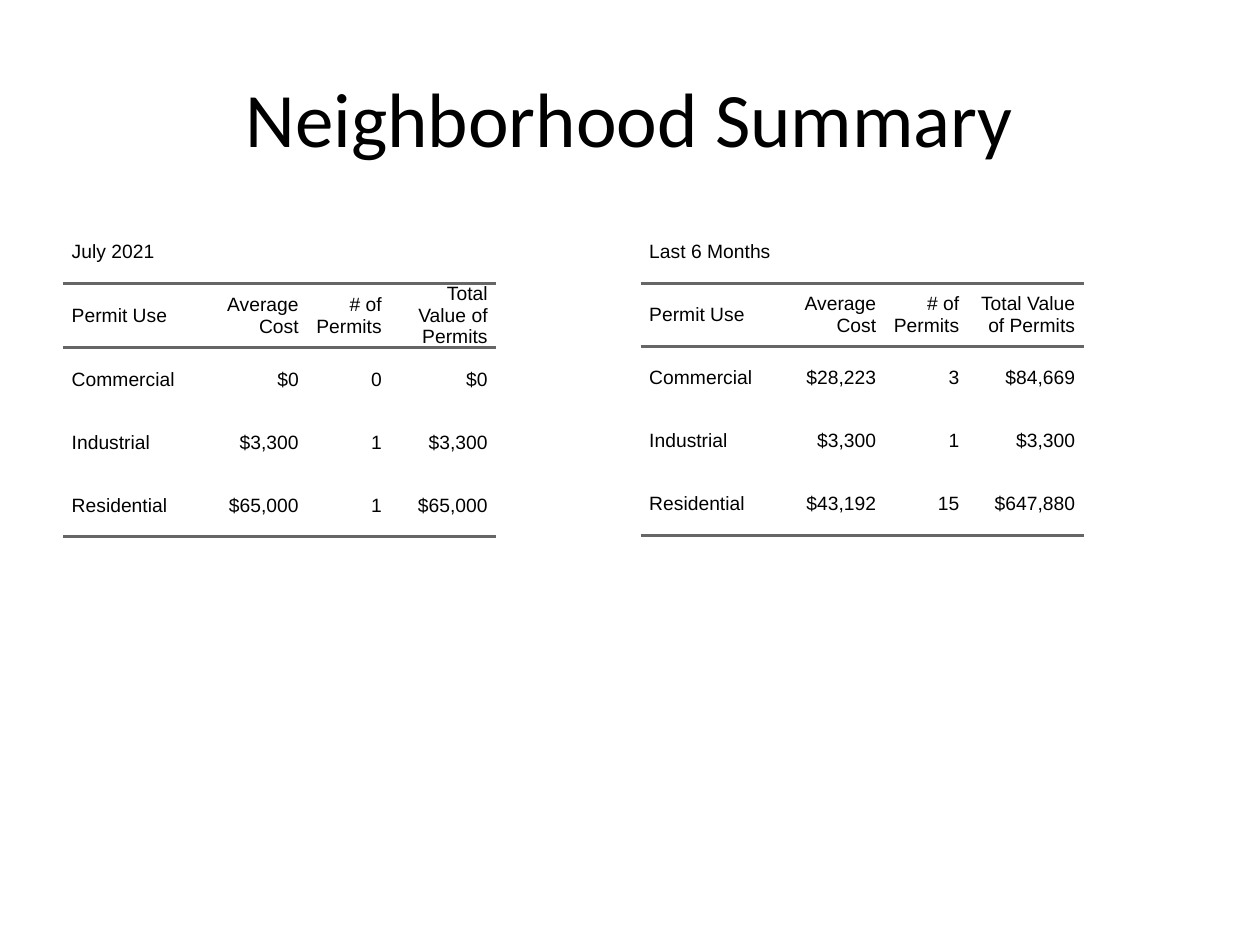
from dataclasses import dataclass

from lxml import etree
from pptx import Presentation
from pptx import util as u
from pptx.dml.color import RGBColor
from pptx.enum import text
from pptx.oxml import ns


@dataclass(frozen=True)
class Theme:
    ink: str = "000000"
    rule: str = "666666"
    title_font: str = "Calibri"
    table_font: str = "Arial"
    title_size: float = 44
    table_size: float = 11
    rule_width: float = 2
    cell_indent: float = 5
    plain_table: str = "{2D5ABB26-0587-4C30-8999-92F81FD0307C}"


class SlideBuilder:
    def __init__(self, slide, theme):
        self.slide = slide
        self.theme = theme

    def style(self, paragraph, font_name, size, align):
        paragraph.alignment = align
        for run in paragraph.runs:
            run.font.name = font_name
            run.font.size = u.Pt(size)
            run.font.color.rgb = RGBColor.from_string(self.theme.ink)

    def title(self, wording, left, top, width, height):
        box = self.slide.shapes.add_textbox(*map(u.Pt, (left, top, width, height)))
        frame = box.text_frame
        frame.word_wrap = True
        frame.vertical_anchor = text.MSO_ANCHOR.MIDDLE
        frame.text = wording
        self.style(frame.paragraphs[0], self.theme.title_font,
                   self.theme.title_size, text.PP_ALIGN.CENTER)

    def rule(self, cell, tag):
        """Draw one cell border; call before the cell fill is set."""
        line = etree.SubElement(cell._tc.get_or_add_tcPr(), ns.qn(tag),
                                w=str(u.Pt(self.theme.rule_width)))
        fill = etree.SubElement(line, ns.qn("a:solidFill"))
        etree.SubElement(fill, ns.qn("a:srgbClr"), val=self.theme.rule)

    def cell(self, cell, wording, align, borders):
        cell.margin_left = cell.margin_right = 0
        cell.margin_top = cell.margin_bottom = 0
        cell.vertical_anchor = text.MSO_ANCHOR.MIDDLE
        for tag in borders:
            self.rule(cell, tag)
        cell.fill.background()
        cell.text_frame.text = wording
        paragraph = cell.text_frame.paragraphs[0]
        properties = paragraph._p.get_or_add_pPr()
        for side in ("marL", "marR"):
            properties.set(side, str(u.Pt(self.theme.cell_indent)))
        properties.set("indent", "0")
        self.style(paragraph, self.theme.table_font, self.theme.table_size, align)

    def permit_table(self, period, rows, column_widths, left, top, width, height, row_height):
        shape = self.slide.shapes.add_table(
            len(rows) + 1, len(column_widths), *map(u.Pt, (left, top, width, height)))
        table = shape.table
        table.first_row = table.horz_banding = False
        table._tbl.tblPr.find(ns.qn("a:tableStyleId")).text = self.theme.plain_table
        for column, column_width in zip(table.columns, column_widths):
            column.width = u.Pt(column_width)
        for row in table.rows:
            row.height = u.Pt(row_height)
        shape.width, shape.height = u.Pt(width), u.Pt(height)

        # Period heading across all columns
        table.cell(0, 0).merge(table.cell(0, len(column_widths) - 1))
        self.cell(table.cell(0, 0), period, text.PP_ALIGN.LEFT, ())

        # Column headings and figures
        borders = {1: ("a:lnT", "a:lnB"), len(rows): ("a:lnB",)}
        for r, values in enumerate(rows, start=1):
            for c, value in enumerate(values):
                align = text.PP_ALIGN.RIGHT if c else text.PP_ALIGN.LEFT
                self.cell(table.cell(r, c), value, align, borders.get(r, ()))


HEADINGS = ("Permit Use", "Average Cost", "# of Permits", "Total Value of Permits")
TABLES = (
    ("July 2021", 36, (79.2, 60.5, 47.5, 60.5), (
        ("Commercial", "$0", "0", "$0"),
        ("Industrial", "$3,300", "1", "$3,300"),
        ("Residential", "$65,000", "1", "$65,000"),
    )),
    ("Last 6 Months", 366, (79.2, 60.5, 47.5, 66.2), (
        ("Commercial", "$28,223", "3", "$84,669"),
        ("Industrial", "$3,300", "1", "$3,300"),
        ("Residential", "$43,192", "15", "$647,880"),
    )),
)


def main():
    presentation = Presentation()
    presentation.slide_width = u.Pt(720)
    presentation.slide_height = u.Pt(540)
    slide = presentation.slides.add_slide(presentation.slide_layouts[6])
    builder = SlideBuilder(slide, Theme())

    # Permit tables, side by side
    for period, left, column_widths, figures in TABLES:
        builder.permit_table(period, (HEADINGS, *figures), column_widths,
                             left, top=126, width=318, height=356.4, row_height=36)

    # Title
    builder.title("Neighborhood Summary", 36, 21.6, 648, 90)

    presentation.save("out.pptx")


if __name__ == "__main__":
    main()
